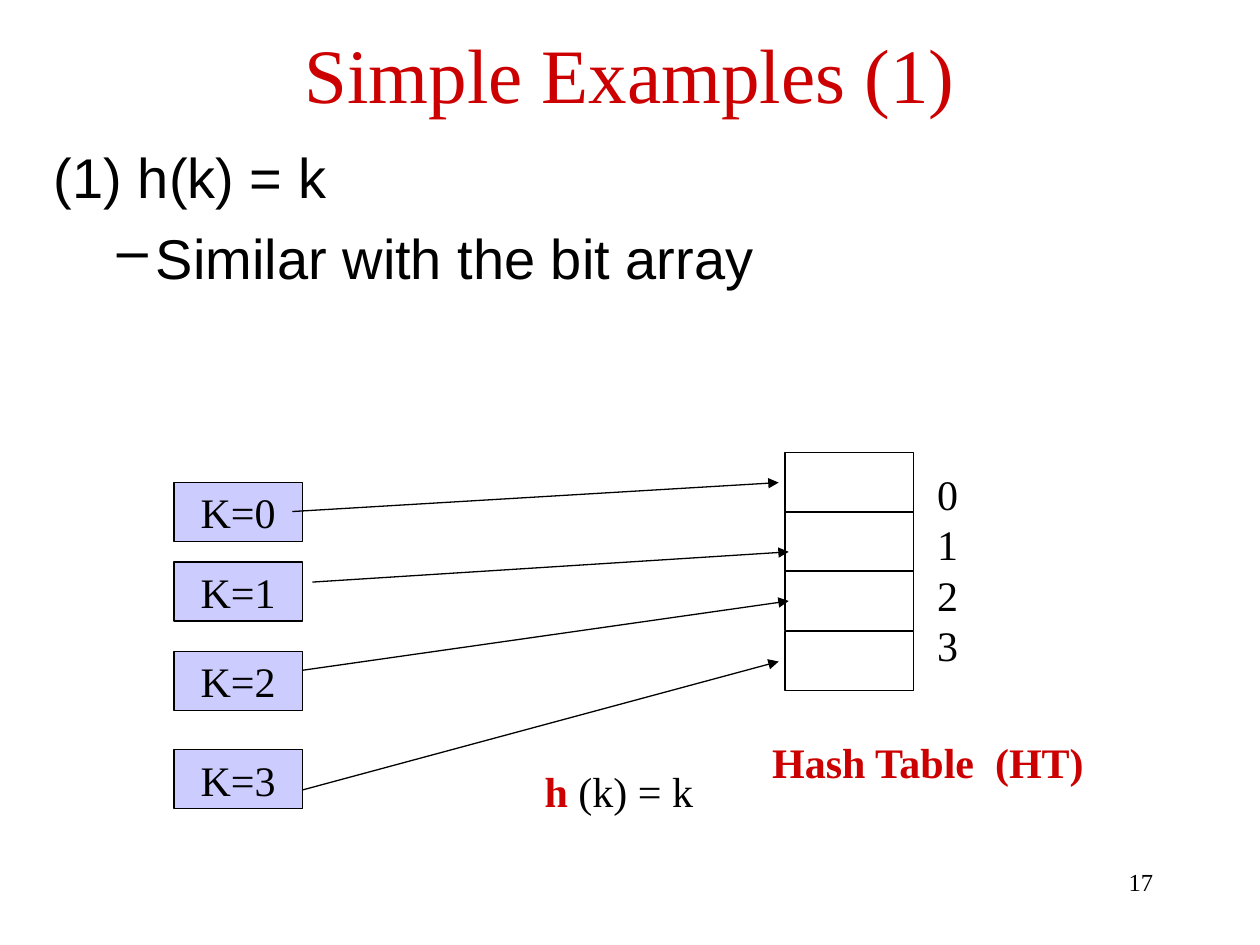
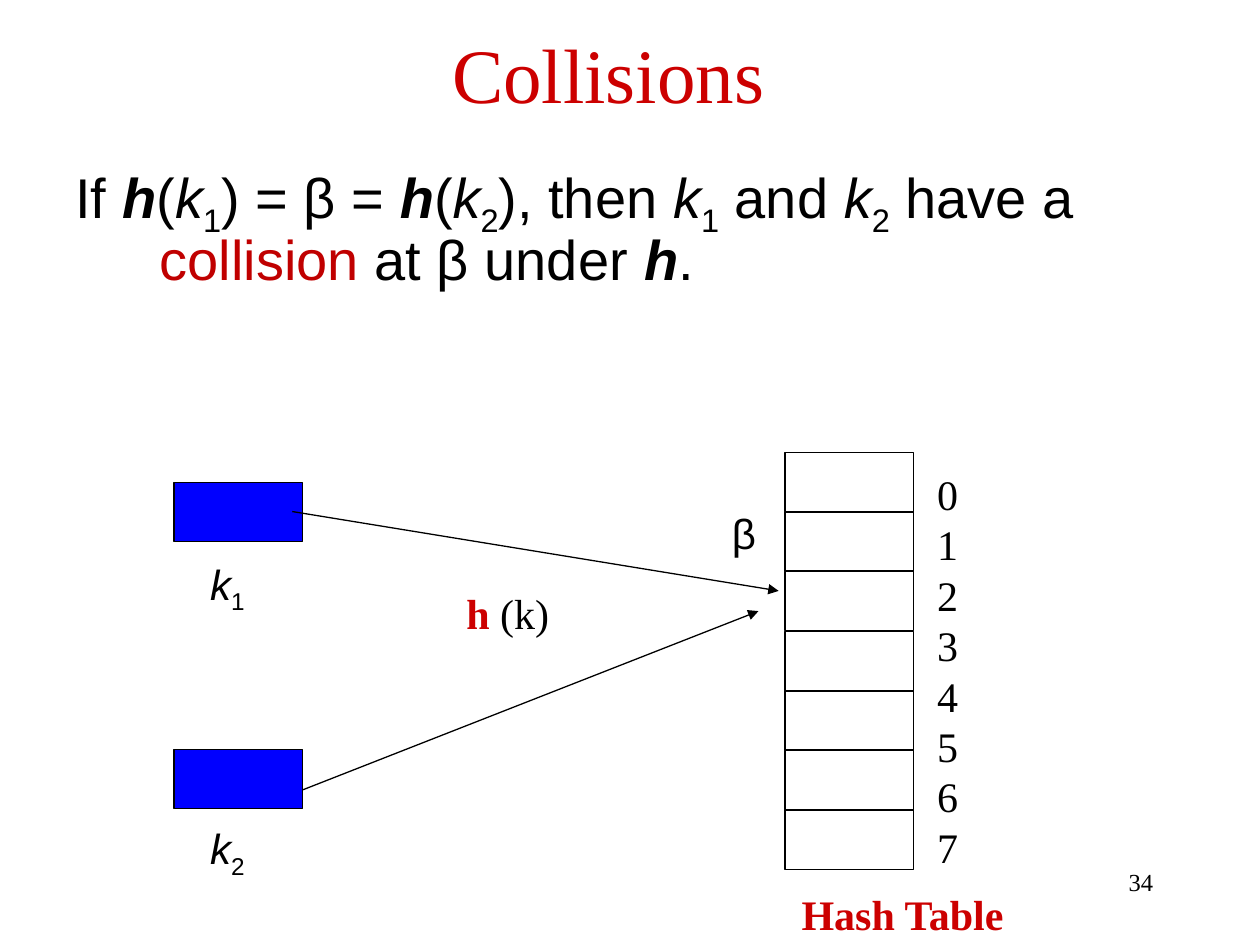
"""Build two slides on hash tables: a simple example and collisions."""
import pptx
import pptx.util
import pptx.dml.color
import pptx.enum.shapes
import pptx.enum.text
import pptx.oxml.ns
import lxml.etree

Inches = pptx.util.Inches
Pt = pptx.util.Pt
rgb = pptx.dml.color.RGBColor.from_string
qn = pptx.oxml.ns.qn
ALIGN = pptx.enum.text.PP_ALIGN
MID = pptx.enum.text.MSO_ANCHOR.MIDDLE
RECT = pptx.enum.shapes.MSO_SHAPE.RECTANGLE
LINE = pptx.enum.shapes.MSO_CONNECTOR.STRAIGHT

COLORS = {"ink": "000000", "red": "CC0000", "deep": "C00000", "pale": "CCCCFF", "blue": "0000FF"}
SERIF, SANS = "Times New Roman", "Arial"
KEY_LEFT, CELL_LEFT, WIDE, HIGH = 1.38, 6.23, 1.02, 0.47


def write(frame, paras, size=24, font=SERIF, align=ALIGN.LEFT, wrap=False):
    """Fill a frame with paragraphs of (text, marks) runs: b, i, s(ub), r(ed), d(eep red)."""
    frame.word_wrap = wrap
    for num, runs in enumerate(paras):
        para = frame.add_paragraph() if num else frame.paragraphs[0]
        para.alignment = align
        for text, marks in runs:
            run = para.add_run()
            run.text = text
            run.font.size, run.font.name = Pt(size), font
            run.font.bold, run.font.italic = "b" in marks, "i" in marks
            tone = "red" if "r" in marks else "deep" if "d" in marks else "ink"
            run.font.color.rgb = rgb(COLORS[tone])
            if "s" in marks:
                run.font._element.set("baseline", "-25000")
    return frame


def block(slide, left, top, fill=None):
    """Add one outlined rectangle, clear unless a fill is named."""
    shape = slide.shapes.add_shape(RECT, Inches(left), Inches(top), Inches(WIDE), Inches(HIGH))
    shape.shadow.inherit = False
    if fill:
        shape.fill.solid()
        shape.fill.fore_color.rgb = rgb(COLORS[fill])
    else:
        shape.fill.background()
    shape.line.color.rgb = rgb(COLORS["ink"])
    shape.line.width = Pt(0.75)
    return shape


PAGES = [
    {
        "title": "Simple Examples (1)", "left": 0.5, "page": "17",
        "body": [[("(1) h(k) = k", "")], [("Similar with the bit array", "")]],
        "area": (0.33, 1.08, 9.33, 5.67), "hang": 0.38,
        "keys": [(3.83, "K=0"), (4.46, "K=1"), (5.17, "K=2"), (5.95, "K=3")],
        "fill": "pale", "cells": 4, "slots": 4, "tall": 1.7,
        "lines": [(2.32, 4.06, 6.18, 3.83), (2.48, 4.62, 6.26, 4.38),
                  (2.4, 5.32, 6.26, 4.77), (2.4, 6.27, 6.18, 5.25)],
        "notes": [
            ((6.03, 5.8, 2.71, 0.5), SERIF, [("Hash Table  (HT)", "br")]),
            ((4.14, 6.03, 1.46, 0.5), SERIF, [(" ", ""), ("h", "br"), (" (k) = k", "")]),
        ],
    },
    {
        "title": "Collisions", "left": 0.33, "page": "34",
        "body": [[("If ", ""), ("h", "bi"), ("(", ""), ("k", "i"), ("1", "s"), (") = β = ", ""),
                  ("h", "bi"), ("(", ""), ("k", "i"), ("2", "s"), ("), then ", ""),
                  ("k", "i"), ("1", "s"), (" and ", ""), ("k", "i"), ("2", "s"), (" have a ", ""),
                  ("collision", "d"), (" at β under ", ""), ("h", "bi"), (".", "")]],
        "area": (0.5, 1.25, 8.68, 2.42), "hang": 0.67,
        "keys": [(3.83, ""), (5.95, "")],
        "fill": "blue", "cells": 7, "slots": 8, "tall": 3.3,
        "lines": [(2.32, 4.06, 6.18, 4.69), (2.4, 6.27, 6.02, 4.85)],
        "notes": [
            ((3.52, 4.61, 0.94, 0.5), SERIF, [(" ", ""), ("h", "br"), (" (k)", "")]),
            ((6.18, 7, 1.92, 0.5), SERIF, [(" ", ""), ("Hash Table", "br")]),
            ((5.71, 3.98, 0.38, 0.5), SANS, [("β", "")]),
            ((1.57, 4.38, 0.5, 0.56), SANS, [("k", "i"), ("1", "s")]),
            ((1.57, 6.48, 0.5, 0.56), SANS, [("k", "i"), ("2", "s")]),
        ],
    },
]

deck = pptx.Presentation()
deck.slide_width, deck.slide_height = Inches(10), Inches(7.5)

for page in PAGES:
    slide = deck.slides.add_slide(deck.slide_layouts[6])
    shapes = slide.shapes

    foot = shapes.add_textbox(Inches(7.17), Inches(6.83), Inches(2.08), Inches(0.5))
    write(foot.text_frame, [[(page["page"], "")]], 14, align=ALIGN.RIGHT, wrap=True)
    title = shapes.add_textbox(Inches(page["left"]), Inches(0.08), Inches(9), Inches(1))
    title.text_frame.vertical_anchor = MID
    write(title.text_frame, [[(page["title"], "r")]], 44, align=ALIGN.CENTER, wrap=True)

    body = shapes.add_textbox(*map(Inches, page["area"]))
    paras = write(body.text_frame, page["body"], 32, SANS, wrap=True).paragraphs
    props = paras[0]._p.get_or_add_pPr()
    props.set("marL", str(Inches(page["hang"])))
    props.set("indent", str(-Inches(page["hang"])))
    if len(paras) == 1:
        paras[0].line_spacing = 0.9
    for para in paras[1:]:
        para.level = 1
        props = para._p.get_or_add_pPr()
        props.set("marL", str(Inches(0.81)))
        props.set("indent", str(-Inches(0.31)))
        lxml.etree.SubElement(props, qn("a:buChar")).set("char", "–")
        para.space_before = Pt(8)

    for top, name in page["keys"]:
        key = block(slide, KEY_LEFT, top, page["fill"])
        if name:
            key.text_frame.vertical_anchor = MID
            write(key.text_frame, [[(name, "")]], align=ALIGN.CENTER)
    for row in range(page["cells"]):
        block(slide, CELL_LEFT, 3.59 + row * 2.84 / 6)

    for ends in page["lines"]:
        arrow = shapes.add_connector(LINE, *map(Inches, ends))
        arrow.line.color.rgb = rgb(COLORS["ink"])
        arrow.line.width = Pt(0.75)
        lxml.etree.SubElement(arrow.line._get_or_add_ln(), qn("a:tailEnd")).set("type", "triangle")
        lxml.etree.SubElement(arrow._element.spPr, qn("a:effectLst"))

    slots = shapes.add_textbox(Inches(7.34), Inches(3.67), Inches(0.36), Inches(page["tall"]))
    write(slots.text_frame, [[(str(num), "")] for num in range(page["slots"])])
    for area, font, runs in page["notes"]:
        note = shapes.add_textbox(*map(Inches, area))
        write(note.text_frame, [runs], font=font)

deck.save("out.pptx")
